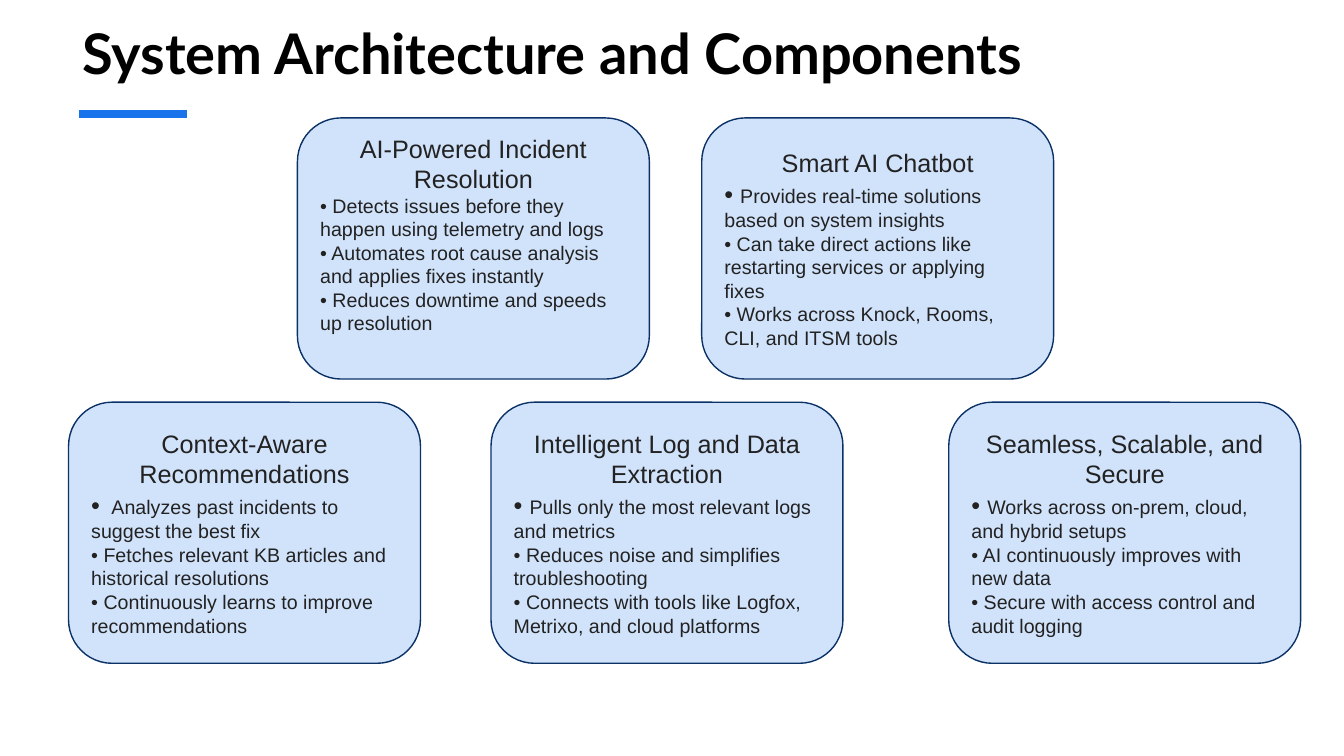
from lxml.etree import SubElement
from pptx import Presentation
from pptx.dml.color import RGBColor
from pptx.enum.shapes import MSO_CONNECTOR as Connector, MSO_SHAPE as Shape
from pptx.enum.text import MSO_ANCHOR as Anchor, PP_ALIGN as Align
from pptx.oxml.ns import qn
from pptx.util import Inches, Pt

BLACK = RGBColor(0x00, 0x00, 0x00)
INK = RGBColor(0x22, 0x22, 0x22)
ACCENT = RGBColor(0x19, 0x73, 0xEB)
CARD_FILL = RGBColor(0xD1, 0xE3, 0xFB)
CARD_LINE = RGBColor(0x0B, 0x32, 0x67)

CARD_WIDTH, CARD_HEIGHT = 3.49, 2.59
TOP_ROW, BOTTOM_ROW = 1.17, 3.99
HEADING_SIZE, BULLET_SIZE = 18, 14

# left, top, size of the first bullet mark, bottom inset, heading, bullets
CARDS = [
    (2.95, TOP_ROW, BULLET_SIZE, 0.34, "AI-Powered Incident Resolution", [
        "Detects issues before they happen using telemetry and logs",
        "Automates root cause analysis and applies fixes instantly",
        "Reduces downtime and speeds up resolution"]),
    (6.96, TOP_ROW, HEADING_SIZE, 0.05, "Smart AI Chatbot", [
        "Provides real-time solutions based on system insights",
        "Can take direct actions like restarting services or applying fixes",
        "Works across Knock, Rooms, CLI, and ITSM tools"]),
    (0.68, BOTTOM_ROW, HEADING_SIZE, 0.05, "Context-Aware Recommendations", [
        " Analyzes past incidents to suggest the best fix",
        "Fetches relevant KB articles and historical resolutions",
        "Continuously learns to improve recommendations"]),
    (4.87, BOTTOM_ROW, HEADING_SIZE, 0.05, "Intelligent Log and Data Extraction", [
        "Pulls only the most relevant logs and metrics",
        "Reduces noise and simplifies troubleshooting",
        "Connects with tools like Logfox, Metrixo, and cloud platforms"]),
    (9.41, BOTTOM_ROW, HEADING_SIZE, 0.05, "Seamless, Scalable, and Secure", [
        "Works across on-prem, cloud, and hybrid setups",
        "AI continuously improves with new data",
        "Secure with access control and audit logging"]),
]


def add_run(paragraph, text, size=BULLET_SIZE, font="Arial", color=INK, bold=False):
    run = paragraph.add_run()
    run.text = text
    run.font.size = Pt(size)
    run.font.name = font
    run.font.bold = bold
    run.font.color.rgb = color


def add_title(slide, text):
    box = slide.shapes.add_textbox(Inches(0.72), Inches(0.13), Inches(11.91), Inches(1.2))
    box.text_frame.word_wrap = True
    add_run(box.text_frame.paragraphs[0], text, size=40, font="Lato", color=BLACK, bold=True)


def add_accent_line(slide):
    line = slide.shapes.add_connector(
        Connector.STRAIGHT, Inches(0.78), Inches(1.13), Inches(1.85), Inches(1.13))
    line.line.color.rgb = ACCENT
    line.line.width = Pt(6)
    SubElement(line._element.spPr, qn("a:effectLst"))


def add_card(slide, left, top, first_mark_size, bottom_inset, heading, bullets):
    card = slide.shapes.add_shape(
        Shape.ROUNDED_RECTANGLE, Inches(left), Inches(top),
        Inches(CARD_WIDTH), Inches(CARD_HEIGHT))
    card.shadow.inherit = False
    card.fill.solid()
    card.fill.fore_color.rgb = CARD_FILL
    card.line.color.rgb = CARD_LINE
    card.line.width = Pt(1)

    frame = card.text_frame
    frame.word_wrap = True
    frame.vertical_anchor = Anchor.MIDDLE
    frame.margin_bottom = Inches(bottom_inset)
    paragraph = frame.paragraphs[0]
    paragraph.alignment = Align.CENTER
    add_run(paragraph, heading, size=HEADING_SIZE)
    for index, bullet in enumerate(bullets):
        paragraph = frame.add_paragraph()
        paragraph.alignment = Align.LEFT
        add_run(paragraph, "• ", size=BULLET_SIZE if index else first_mark_size)
        add_run(paragraph, bullet)


def main():
    presentation = Presentation()
    presentation.slide_width = Inches(13.33)
    presentation.slide_height = Inches(7.5)
    slide = presentation.slides.add_slide(presentation.slide_layouts[6])
    add_accent_line(slide)
    add_title(slide, "System Architecture and Components")
    for card in CARDS:
        add_card(slide, *card)
    presentation.save("out.pptx")


if __name__ == "__main__":
    main()
